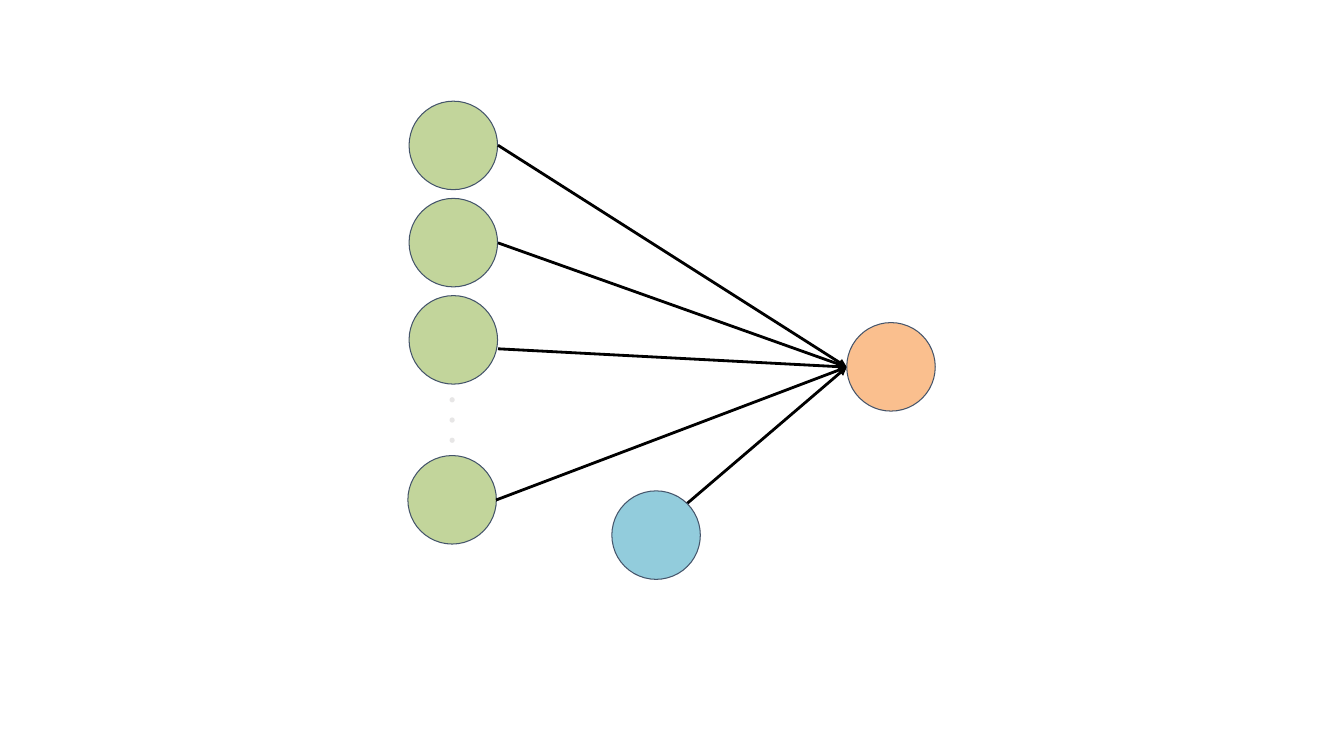
from pptx import Presentation
from pptx.dml.color import RGBColor
from pptx.enum.shapes import MSO_CONNECTOR, MSO_SHAPE
from pptx.oxml.ns import qn
from pptx.util import Cm, Pt
from lxml.etree import SubElement

COLORS = {
    "input": "C2D59B",
    "output": "FABF8E",
    "bias": "92CCDC",
    "dot": "E7E6E6",
    "edge": "44546A",
    "arrow": "000000",
}
NODE = 2.23
DOT = 0.13
TARGET = (21.34, 9.25)


def color(name):
    return RGBColor.from_string(COLORS[name])


def add_disc(slide, left, top, size, fill):
    disc = slide.shapes.add_shape(
        MSO_SHAPE.OVAL, Cm(left), Cm(top), Cm(size), Cm(size))
    disc.shadow.inherit = False
    disc.fill.solid()
    disc.fill.fore_color.rgb = color(fill)
    disc.line.fill.background()
    return disc


def add_node(slide, left, top, fill):
    """Add a neuron: a large outlined disc."""
    node = add_disc(slide, left, top, NODE, fill)
    node.line.color.rgb = color("edge")
    node.line.width = Pt(0.75)


def add_arrow(slide, start, end):
    arrow = slide.shapes.add_connector(
        MSO_CONNECTOR.STRAIGHT, *(Cm(n) for n in start + end))
    arrow.line.color.rgb = color("arrow")
    arrow.line.width = Pt(2)
    SubElement(arrow.line._get_or_add_ln(), qn("a:tailEnd"), type="triangle")
    SubElement(arrow._element.spPr, qn("a:effectLst"))


def main():
    deck = Presentation()
    deck.slide_width, deck.slide_height = Cm(33.87), Cm(19.05)
    slide = deck.slides.add_slide(deck.slide_layouts[6])

    for row in range(3):
        add_node(slide, 10.31, 2.55 + 2.45 * row, "input")
    add_node(slide, 10.28, 11.48, "input")

    starts = [(12.55, 3.66), (12.55, 6.12), (12.55, 8.79),
              (12.5, 12.6), (17.3, 12.7)]
    for start in starts:
        add_arrow(slide, start, TARGET)

    add_node(slide, TARGET[0], 8.13, "output")
    add_node(slide, 15.42, 12.37, "bias")

    for row in range(3):
        add_disc(slide, 11.33, 10.01 + 0.51 * row, DOT, "dot")

    deck.save("out.pptx")


if __name__ == "__main__":
    main()
